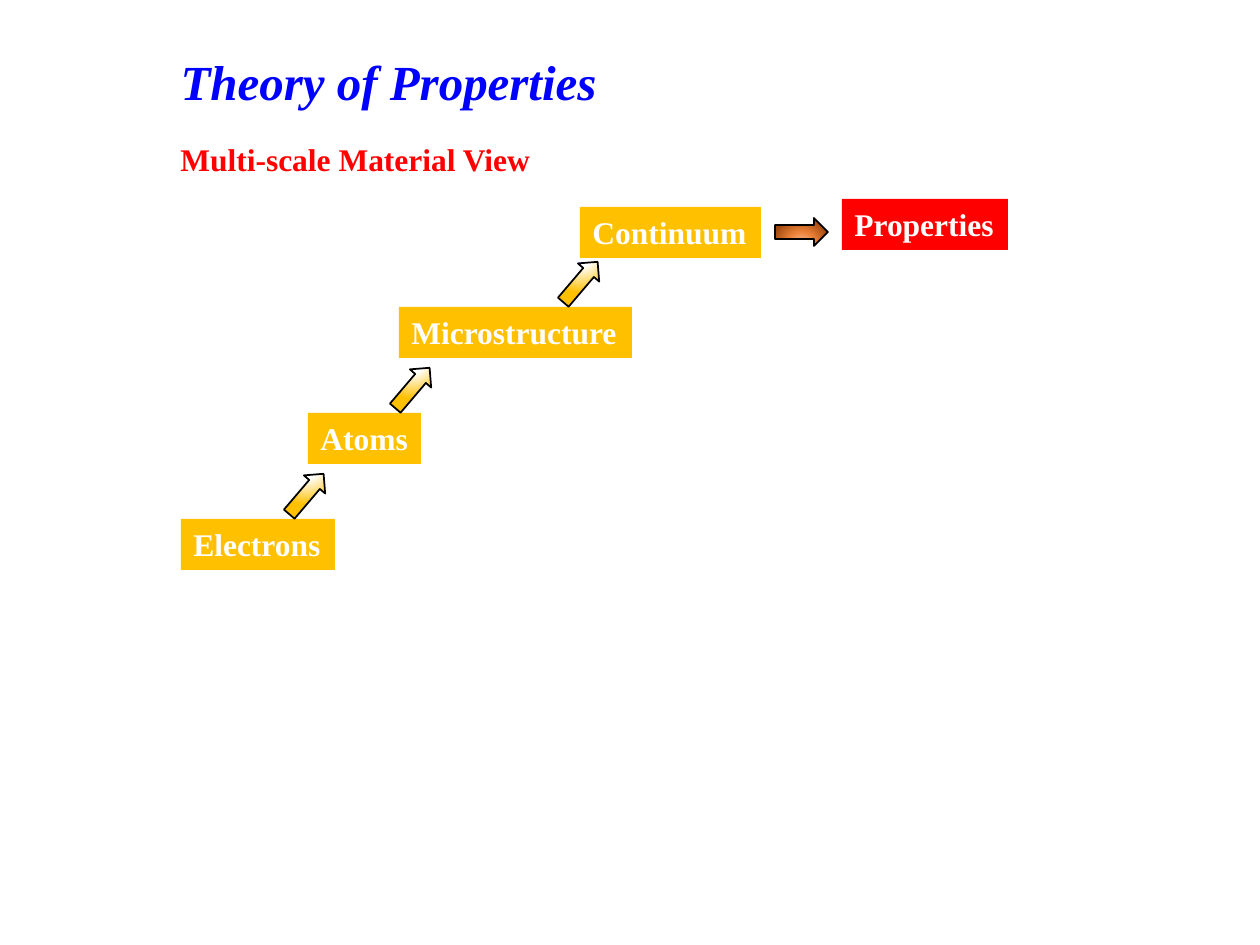
from pptx import Presentation
from pptx.dml.color import RGBColor
from pptx.enum.shapes import MSO_SHAPE
from pptx.enum.text import MSO_ANCHOR, MSO_AUTO_SIZE, PP_ALIGN
from pptx.oxml import parse_xml
from pptx.oxml.ns import nsdecls, qn
from pptx.util import Pt

RECTANGLE, RIGHT_ARROW = MSO_SHAPE.RECTANGLE, MSO_SHAPE.RIGHT_ARROW
TOP, LEFT = MSO_ANCHOR.TOP, PP_ALIGN.LEFT
FIT_TEXT = MSO_AUTO_SIZE.SHAPE_TO_FIT_TEXT

PX_PER_INCH = 126
FONT = "Times New Roman"
BLUE = RGBColor(0x00, 0x00, 0xFF)
RED = RGBColor(0xFF, 0x00, 0x00)
GOLD = RGBColor(0xFF, 0xC0, 0x00)
WHITE = RGBColor(0xFF, 0xFF, 0xFF)
BLACK = RGBColor(0x00, 0x00, 0x00)
PEACH = RGBColor(0xF8, 0xCB, 0xAD)
ORANGE = RGBColor(0xEE, 0x84, 0x3B)
BROWN = RGBColor(0x9E, 0x48, 0x0E)

# Gradient stops in percent, then the top and bottom insets of the focus
GOLD_GLOW = [(0, WHITE), (35, WHITE), (100, GOLD)], -80, 180
BROWN_GLOW = [(0, PEACH), (46, ORANGE), (100, BROWN)], 130, -30

LABEL_HEIGHT = 51
ARROW_WIDTH, ARROW_HEIGHT = 53, 28
ARROW_RISE = 39
CLIMB_ANGLE = 310.4

# Label, left, top, width and left of the arrow that climbs from it
SCALES = [
    ("Electrons", 0, 320, 154, 99),
    ("Atoms", 127, 214, 113, 205),
    ("Microstructure", 218, 108, 233, 373),
    ("Continuum", 399, 8, 181, None),
]


def px(length):
    return round(length * 914400 / PX_PER_INCH)


def box_px(*lengths):
    return [px(length) for length in lengths]


def write(shape, text, size, color, wrap=False, italic=None):
    frame = shape.text_frame
    frame.word_wrap = wrap
    frame.auto_size = FIT_TEXT
    frame.vertical_anchor = TOP
    paragraph = frame.paragraphs[0]
    paragraph.alignment = LEFT
    run = paragraph.add_run()
    run.text = text
    run.font.name = FONT
    run.font.size = Pt(size)
    run.font.bold = True
    run.font.italic = italic
    run.font.color.rgb = color


def add_label(slide, text, left, top, width, fill):
    label = slide.shapes.add_shape(
        RECTANGLE, *box_px(left, top, width, LABEL_HEIGHT))
    label.shadow.inherit = False
    label.fill.solid()
    label.fill.fore_color.rgb = fill
    label.line.fill.background()
    write(label, text, 18, WHITE)


def fill_radial(shape, stops, focus_top, focus_bottom):
    stop_xml = "".join(
        f'<a:gs pos="{position * 1000}"><a:srgbClr val="{color}"/></a:gs>'
        for position, color in stops)
    gradient = parse_xml(
        f'<a:gradFill {nsdecls("a")} rotWithShape="1">'
        f'<a:gsLst>{stop_xml}</a:gsLst><a:path path="circle">'
        f'<a:fillToRect l="50000" t="{focus_top * 1000}" '
        f'r="50000" b="{focus_bottom * 1000}"/></a:path></a:gradFill>')
    shape.fill.gradient()
    properties = shape.element.spPr
    properties.replace(properties.find(qn("a:gradFill")), gradient)


def add_arrow(slide, left, top, glow, angle=0):
    arrow = slide.shapes.add_shape(
        RIGHT_ARROW, *box_px(left, top, ARROW_WIDTH, ARROW_HEIGHT))
    arrow.shadow.inherit = False
    arrow.rotation = angle
    arrow.line.color.rgb = BLACK
    arrow.line.width = Pt(1)
    fill_radial(arrow, *glow)


def add_heading(slide, left, top):
    title = slide.shapes.title
    title.left, title.top, title.width, title.height = box_px(
        left, top, 446, 72)
    write(title, "Theory of Properties", 28, BLUE, italic=True)
    subtitle = slide.shapes.add_textbox(*box_px(left, top + 89, 426, 50))
    write(subtitle, "Multi-scale Material View", 18, RED, wrap=True)


def add_scale_staircase(slide, left, top):
    """Climb from electrons to the continuum, then across to properties."""
    for text, x, y, width, arrow_x in SCALES:
        add_label(slide, text, left + x, top + y, width, GOLD)
        if arrow_x is not None:
            add_arrow(slide, left + arrow_x, top + y - ARROW_RISE,
                      GOLD_GLOW, CLIMB_ANGLE)
    add_arrow(slide, left + 594, top + 19, BROWN_GLOW)
    add_label(slide, "Properties", left + 661, top, 166, RED)


def main():
    presentation = Presentation()
    presentation.slide_width, presentation.slide_height = box_px(1260, 945)
    slide = presentation.slides.add_slide(presentation.slide_layouts[5])
    add_heading(slide, 168, 45)
    add_scale_staircase(slide, 181, 199)
    presentation.save("out.pptx")


if __name__ == "__main__":
    main()
